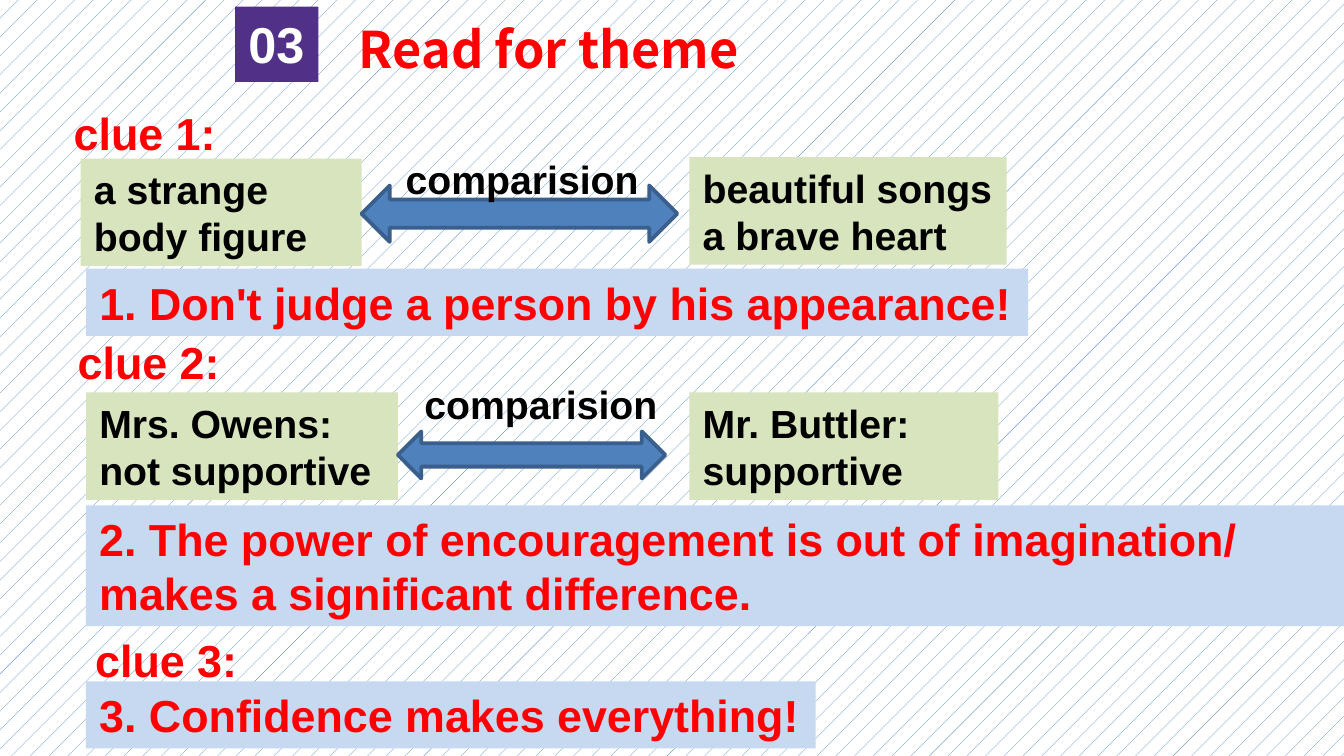
from pptx import Presentation
from pptx.dml.color import RGBColor
from pptx.enum.dml import MSO_PATTERN as Pattern
from pptx.enum.shapes import MSO_SHAPE as Shape
from pptx.enum.text import MSO_ANCHOR as Anchor, MSO_AUTO_SIZE as AutoSize, PP_ALIGN as Align
from pptx.util import Inches, Pt

# Grid of tenth-inch cells: 100 columns by 56.25 rows (16:9)
COLUMNS, ROWS = 100, 56.25
CELL = Inches(0.1)
LEFT, RIGHT = 6.4, 51.3  # left edges of the two columns of boxes

RED, BLACK, WHITE = "FF0000", "000000", "FFFFFF"
PURPLE, GREEN, PALE_BLUE = "513087", "D7E4BD", "C6D9F1"
BLUE, DARK_BLUE = "4F81BD", "3A5F8C"
SMALL, MEDIUM, LARGE = 21, 24, 27


def color(value):
    return RGBColor.from_string(value)


def grid(*cells):
    return [round(cell * CELL) for cell in cells]


def write(box, lines, size, ink, wrap=True, font="Arial"):
    frame = box.text_frame
    frame.word_wrap = wrap
    frame.auto_size = AutoSize.SHAPE_TO_FIT_TEXT
    frame.vertical_anchor = Anchor.TOP
    for index, line in enumerate(lines):
        para = frame.add_paragraph() if index else frame.paragraphs[0]
        para.alignment = Align.LEFT
        span = para.add_run()
        span.text = line
        span.font.name = font
        span.font.size = Pt(size)
        span.font.bold = True
        span.font.color.rgb = color(ink)


def add_title(page, text, place):
    title = page.shapes.title
    title.left, title.top, title.width, title.height = grid(*place)
    write(title, [text], LARGE, RED, font="Noto Sans CJK JP")


def add_label(page, text, place, size=MEDIUM, ink=RED, wrap=False):
    box = page.shapes.add_textbox(*grid(*place))
    write(box, [text], size, ink, wrap)


def add_shape(page, kind, place, fill):
    shape = page.shapes.add_shape(kind, *grid(*place))
    shape.shadow.inherit = False
    shape.fill.solid()
    shape.fill.fore_color.rgb = color(fill)
    shape.line.fill.background()
    return shape


def add_panel(page, lines, place, fill, size, ink, wrap=True):
    write(add_shape(page, Shape.RECTANGLE, place, fill), lines, size, ink, wrap)


def add_arrow(page, place):
    arrow = add_shape(page, Shape.LEFT_RIGHT_ARROW, place, BLUE)
    arrow.line.color.rgb = color(DARK_BLUE)
    arrow.line.width = Pt(2)


def add_comparison(page, first, second, arrow, caption):
    for lines, place, wrap in (first, second):
        add_panel(page, lines, place, GREEN, SMALL, BLACK, wrap)
    add_arrow(page, arrow)
    add_label(page, "comparision", (*caption, 19.4, 4.5), SMALL, BLACK)


def add_theme(page, text, top, width, height=5, wrap=False):
    add_panel(page, [text], (LEFT, top, width, height), PALE_BLUE, MEDIUM, RED, wrap)


def main():
    deck = Presentation()
    deck.slide_width, deck.slide_height = grid(COLUMNS, ROWS)
    page = deck.slides.add_slide(deck.slide_layouts[5])

    # Patterned background
    backdrop = page.background.fill
    backdrop.patterned()
    backdrop.pattern = Pattern.PERCENT_5
    backdrop.fore_color.rgb = color(BLUE)
    backdrop.back_color.rgb = color(WHITE)

    # Heading
    add_panel(page, ["03"], (17.5, 0.5, 6.2, 5.6), PURPLE, LARGE, WHITE, wrap=False)
    add_title(page, "Read for theme", (25.7, 0.85, 51.5, 5.5))

    # Clue 1
    add_label(page, "clue 1:", (4.5, 7.4, 13.5, 5))
    add_comparison(
        page,
        (["a strange body figure"], (6, 11.8, 20.9, 8), True),
        (["beautiful songs", "a brave heart"], (RIGHT, 11.7, 23.6, 8), False),
        arrow=(26.9, 13.8, 23.5, 4.2), caption=(29.2, 11.1))
    add_theme(page, "1. Don't judge a person by his appearance!", 20, 70.1)

    # Clue 2
    add_label(page, "clue 2:", (4.8, 24.4, 14.9, 5), wrap=True)
    add_comparison(
        page,
        (["Mrs. Owens: not supportive"], (LEFT, 29.2, 23.2, 8), True),
        (["Mr. Buttler: supportive"], (RIGHT, 29.2, 23, 8), True),
        arrow=(29.6, 32.1, 19.9, 3.5), caption=(30.6, 27.8))
    add_theme(page, "2. The power of encouragement is out of imagination/ "
              "makes a significant difference.", 37.6, 93.7, 9, wrap=True)

    # Clue 3
    add_theme(page, "3. Confidence makes everything!", 50.7, 54.3)
    add_label(page, "clue 3:", (6.1, 46.6, 15.5, 5), wrap=True)

    deck.save("out.pptx")


if __name__ == "__main__":
    main()
